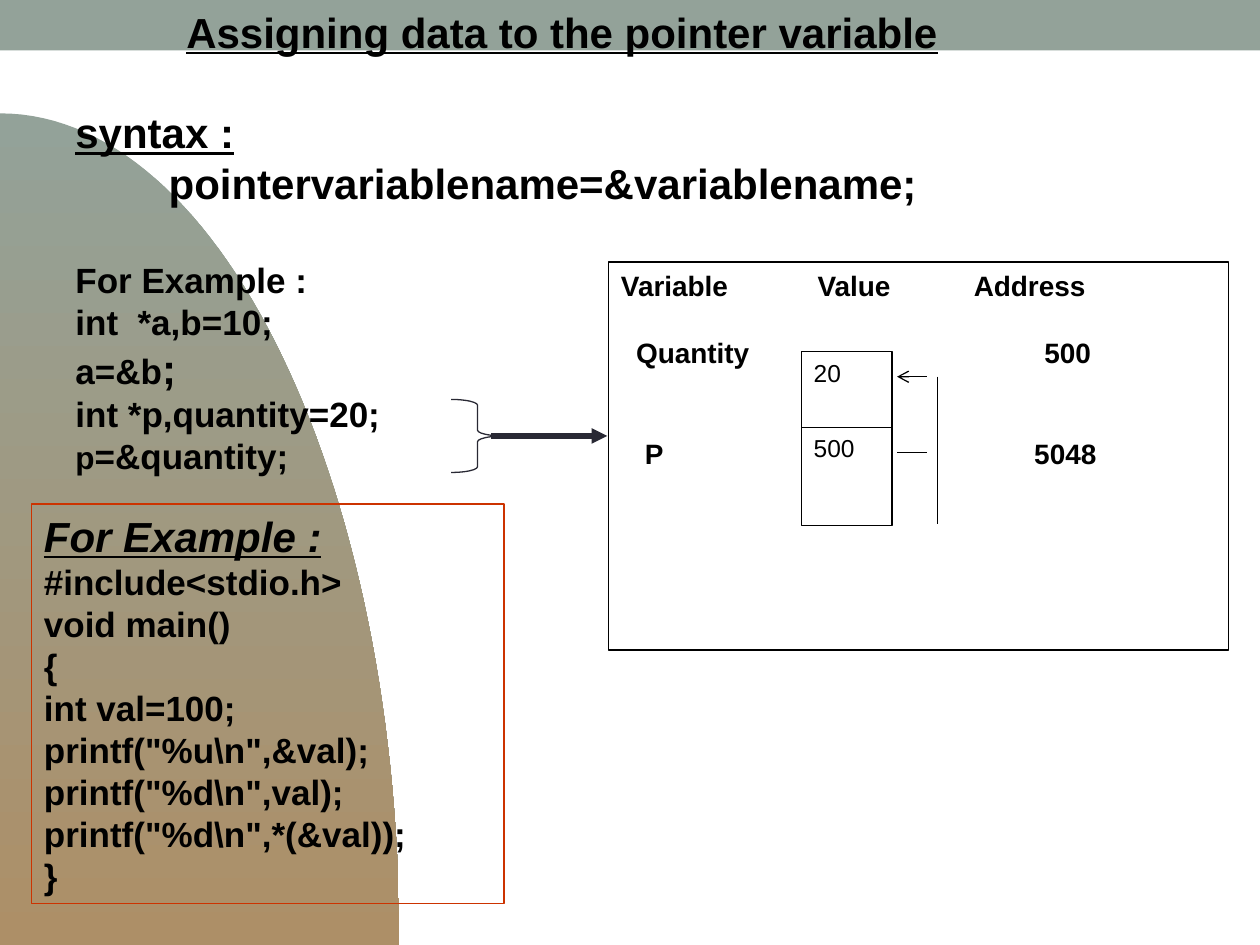
from lxml.etree import SubElement
from pptx import Presentation
from pptx.dml.color import RGBColor
from pptx.enum.shapes import MSO_CONNECTOR, MSO_SHAPE
from pptx.enum.text import MSO_ANCHOR, PP_ALIGN
from pptx.oxml.ns import qn
from pptx.util import Inches, Pt

BLACK = RGBColor(0, 0, 0)
WHITE = RGBColor(0xFF, 0xFF, 0xFF)
SAGE = RGBColor(0x93, 0xA2, 0x99)
TAN = RGBColor(0xAD, 0x8F, 0x67)
RUST = RGBColor(0xCC, 0x33, 0x00)
INK = RGBColor(0x29, 0x29, 0x34)


def add_paragraph(frame, text, size=20, bold=True, italic=False, underline=False,
                  align=PP_ALIGN.LEFT, before=0, tabs=()):
    """Append a paragraph; text is a string or a list of (string, size) runs."""
    first = frame.paragraphs[0]
    paragraph = frame.add_paragraph() if first.runs else first
    runs = [(text, size)] if isinstance(text, str) else text
    paragraph.alignment = align
    paragraph.space_before = Pt(before)
    paragraph.line_spacing = Pt(1.2 * max(run_size for _, run_size in runs))
    if tabs:
        tab_list = SubElement(paragraph._p.get_or_add_pPr(), qn("a:tabLst"))
        for position in tabs:
            SubElement(tab_list, qn("a:tab"), pos=str(Inches(position)), algn="l")
    for words, run_size in runs:
        run = paragraph.add_run()
        run.text = words
        font = run.font
        font.name, font.size, font.color.rgb = "Arial", Pt(run_size), BLACK
        font.bold, font.italic, font.underline = bold, italic, underline


def prepare_frame(shape):
    frame = shape.text_frame
    frame.word_wrap = True
    frame.vertical_anchor = MSO_ANCHOR.TOP
    return frame


def style(shape, fill=None, line=None):
    shape.shadow.inherit = False
    if fill is None:
        shape.fill.background()
    else:
        shape.fill.solid()
        shape.fill.fore_color.rgb = fill
    if line is None:
        shape.line.fill.background()
    else:
        shape.line.color.rgb = line
        shape.line.width = Pt(0.75)


def add_box(slide, left, top, width, height, fill=None, line=None,
            kind=MSO_SHAPE.RECTANGLE):
    box = slide.shapes.add_shape(kind, Inches(left), Inches(top),
                                 Inches(width), Inches(height))
    style(box, fill, line)
    return box


def add_line(slide, x1, y1, x2, y2, color=BLACK, width=0.75, head=None, tail=None):
    line = slide.shapes.add_connector(MSO_CONNECTOR.STRAIGHT, Inches(x1), Inches(y1),
                                      Inches(x2), Inches(y2))
    line.line.color.rgb = color
    line.line.width = Pt(width)
    outline = line.line._get_or_add_ln()
    for tag, arrow in (("a:headEnd", head), ("a:tailEnd", tail)):
        if arrow:
            SubElement(outline, qn(tag), type=arrow)
    SubElement(line._element.spPr, qn("a:effectLst"))


def add_backdrop(slide, width):
    # Top band
    add_box(slide, 0, 0, width, 0.4, fill=SAGE)
    # Curved hill, sampled along a cubic curve
    left, top, right, bottom = 0, 0.9, 3.17, 7.5
    curve = []
    for step in range(1, 61):
        t = step / 60
        u = 1 - t
        x = 3 * u * t * t * right + t ** 3 * right + 3 * u * u * t * 1.75 \
            - 0 * left
        y = u ** 3 * top + 3 * u * u * t * top + 3 * u * t * t * 3.85 + t ** 3 * bottom
        curve.append((Inches(x), Inches(y)))
    builder = slide.shapes.build_freeform(Inches(left), Inches(top))
    builder.add_line_segments(curve + [(Inches(left), Inches(bottom))], close=True)
    hill = builder.convert_to_shape()
    style(hill)
    hill.fill.gradient()
    hill.fill.gradient_angle = 270
    for stop, (position, color) in zip(hill.fill.gradient_stops, ((0, SAGE), (1, TAN))):
        stop.position = position
        stop.color.rgb = color


def add_explanation(slide, left, top, width, height):
    frame = prepare_frame(slide.shapes.add_textbox(
        Inches(left), Inches(top), Inches(width), Inches(height)))
    add_paragraph(frame, "Assigning data to the pointer variable", size=24,
                  underline=True, align=PP_ALIGN.CENTER)
    add_paragraph(frame, "syntax :", size=24, underline=True, before=28.8)
    add_paragraph(frame, "\tpointervariablename=&variablename;", size=24, tabs=[0.74])
    add_paragraph(frame, "For Example :", before=28.8)
    for code in ("int  *a,b=10;", [("a=&b", 20), (";", 24)],
                 "int *p,quantity=20;", [("p", 18), ("=&quantity;", 20)]):
        add_paragraph(frame, code)


def add_program(slide, left, top, width, height):
    frame = prepare_frame(add_box(slide, left, top, width, height, line=RUST))
    add_paragraph(frame, "For Example :", size=24, italic=True, underline=True)
    for code in ("#include<stdio.h>", "void main()", "{", "int val=100;",
                 'printf("%u\\n",&val);', 'printf("%d\\n",val);',
                 'printf("%d\\n",*(&val));', "}"):
        add_paragraph(frame, code)


def add_memory_diagram(slide, left, top, width, height):
    frame = prepare_frame(add_box(slide, left, top, width, height, WHITE, BLACK))
    for row, before, tabs in (("Variable\tValue\tAddress", 0, [1.56, 2.8]),
                              ("\tQuantity\t500", 19.2, [0.12, 3.36]),
                              ("\tP\t5048", 38.4, [0.19, 3.28])):
        add_paragraph(frame, row, size=16, before=before, tabs=tabs)

    # Value cells, each with a short line on its right
    cell_left, cell_top, pitch = left + 1.53, top + 0.71, 0.6
    for index, (value, head) in enumerate((("20", "arrow"), ("500", None))):
        y = cell_top + index * pitch
        cell = add_box(slide, cell_left, y, 0.72, 0.78, WHITE, BLACK)
        add_paragraph(prepare_frame(cell), value, size=14, bold=False)
        add_line(slide, cell_left + 0.76, y + 0.2, cell_left + 1, y + 0.2, head=head)

    # Upright line beside the cells
    add_line(slide, cell_left + 1.08, cell_top + 0.2, cell_left + 1.08, cell_top + 1.37)


def add_brace_arrow(slide, left, top, width, height, target):
    brace = add_box(slide, left, top, width, height, line=INK,
                    kind=MSO_SHAPE.RIGHT_BRACE)
    brace.adjustments[0] = 0.11
    middle = top + height / 2
    add_line(slide, left + 0.32, middle, target, middle, INK, 3, tail="triangle")


def main():
    deck = Presentation()
    deck.slide_width, deck.slide_height = Inches(10), Inches(7.5)
    slide = deck.slides.add_slide(deck.slide_layouts[6])
    add_backdrop(slide, 10)
    add_explanation(slide, 0.5, 0, 7.92, 3.84)
    add_program(slide, 0.25, 4, 3.75, 3.17)
    add_memory_diagram(slide, 4.83, 2.08, 4.92, 3.08)
    add_brace_arrow(slide, 3.58, 3.17, 0.42, 0.58, target=4.82)
    deck.save("out.pptx")


if __name__ == "__main__":
    main()
